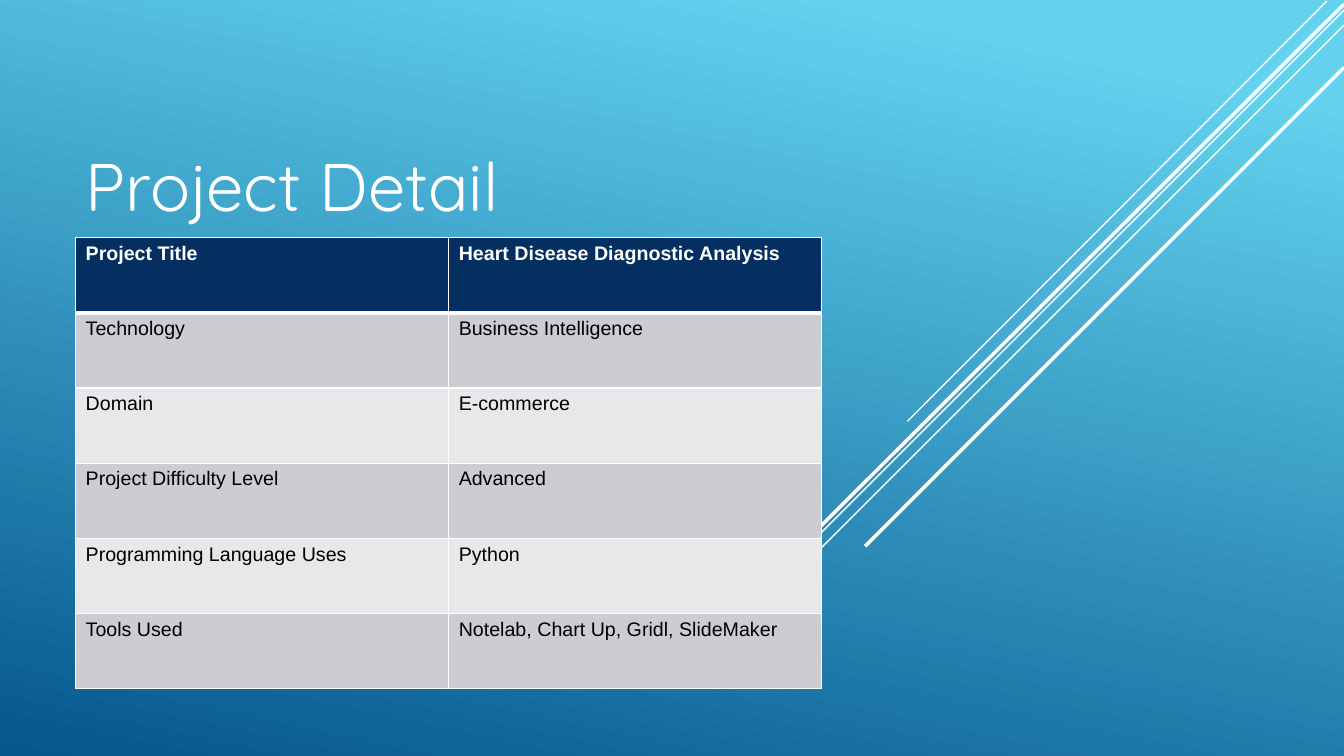
"""Build the project detail slide."""
from copy import deepcopy
from dataclasses import dataclass

from lxml import etree
from pptx import Presentation
from pptx.dml.color import RGBColor
from pptx.enum.shapes import MSO_CONNECTOR
from pptx.enum.text import MSO_ANCHOR, MSO_AUTO_SIZE, PP_ALIGN
from pptx.oxml.ns import qn
from pptx.util import Pt

STRAIGHT = MSO_CONNECTOR.STRAIGHT
BOTTOM = MSO_ANCHOR.BOTTOM
LEFT = PP_ALIGN.LEFT
NO_FIT = MSO_AUTO_SIZE.NONE
SCALE = 9144


@dataclass(frozen=True)
class Theme:
    """Hold the colours, fonts and sizes."""
    white: str = "FFFFFF"
    black: str = "000000"
    navy: str = "052F61"
    bands: tuple = ("CCCDD2", "E7E8EA")
    stops: tuple = ((0, "62D2EF"), (0.1, "62D2EF"), (1, "05578D"))
    angle: int = 258
    head_font: str = "Quicksand"
    cell_font: str = "Arial"
    head_size: int = 48
    cell_size: int = 14
    thin: float = 1
    thick: float = 2.5
    rule: float = 3


THEME = Theme()
RAYS = [
    (1316, 1, 900, 418, THEME.thin),
    (1333, 10, 668, 675, THEME.thin),
    (1333, 25, 791, 567, THEME.thin),
    (1333, 4, 802, 534, THEME.thick),
    (1333, 67, 858, 542, THEME.thick),
]
ROWS = [
    ("Project Title", "Heart Disease Diagnostic Analysis"),
    ("Technology", "Business Intelligence"),
    ("Domain", "E-commerce"),
    ("Project Difficulty Level", "Advanced"),
    ("Programming Language Uses", "Python"),
    ("Tools Used", "Notelab, Chart Up, Gridl, SlideMaker"),
]


def px(count):
    """Turn px into EMU."""
    return count * SCALE


def tint(hue):
    """Turn a hex string into a colour."""
    return RGBColor.from_string(hue)


def add_run(frame, text, font, size, hue, bold=False):
    """Add one styled run to the first paragraph."""
    run = frame.paragraphs[0].add_run()
    run.text = text
    run.font.name = font
    run.font.size = Pt(size)
    run.font.bold = bold
    run.font.color.rgb = tint(hue)


def paint_back(slide):
    """Fill the background with the theme gradient."""
    fill = slide.background.fill
    fill.gradient()
    marks = slide.element.find(".//" + qn("a:gsLst"))
    marks.insert(0, deepcopy(marks[0]))
    for stop, (place, hue) in zip(fill.gradient_stops, THEME.stops):
        stop.position = place
        stop.color.rgb = tint(hue)
    fill.gradient_angle = THEME.angle


def add_ray(slide, x1, y1, x2, y2, width):
    """Draw one slanted white line."""
    ray = slide.shapes.add_connector(STRAIGHT, px(x1), px(y1), px(x2), px(y2))
    ray.line.color.rgb = tint(THEME.white)
    ray.line.width = Pt(width)
    etree.SubElement(ray.element.spPr, qn("a:effectLst"))


def set_title(slide, text, left, top, width, height):
    """Place and write the title."""
    title = slide.shapes.title
    title.left, title.top = px(left), px(top)
    title.width, title.height = px(width), px(height)
    frame = title.text_frame
    frame.auto_size = NO_FIT
    frame.word_wrap = True
    frame.vertical_anchor = BOTTOM
    frame.paragraphs[0].alignment = LEFT
    add_run(frame, text, THEME.head_font, THEME.head_size, THEME.white)


def edge_cell(cell, widths):
    """Draw white borders of the given widths."""
    props = cell._tc.get_or_add_tcPr()
    for side, width in widths.items():
        line = etree.SubElement(props, qn("a:ln" + side), w=str(Pt(width)))
        fill = etree.SubElement(line, qn("a:solidFill"))
        etree.SubElement(fill, qn("a:srgbClr"), val=THEME.white)


def add_grid(slide, rows, left, top, width, height):
    """Add the table with a dark head and banded rows."""
    grid = slide.shapes.add_table(
        len(rows), len(rows[0]), px(left), px(top), px(width), px(height)
    ).table
    for y, row in enumerate(rows):
        head = y == 0
        widths = dict.fromkeys("LRTB", THEME.thin)
        if y < 2:
            widths["B" if head else "T"] = THEME.rule
        back = THEME.navy if head else THEME.bands[(y - 1) % 2]
        hue = THEME.white if head else THEME.black
        for x, text in enumerate(row):
            cell = grid.cell(y, x)
            edge_cell(cell, widths)
            cell.fill.solid()
            cell.fill.fore_color.rgb = tint(back)
            add_run(cell.text_frame, text, THEME.cell_font,
                    THEME.cell_size, hue, head)


def main():
    """Build and save the slide."""
    deck = Presentation()
    deck.slide_width, deck.slide_height = px(1333), px(750)
    slide = deck.slides.add_slide(deck.slide_layouts[0])
    spare = slide.placeholders[1].element
    spare.getparent().remove(spare)
    paint_back(slide)
    for ray in RAYS:
        add_ray(slide, *ray)
    set_title(slide, "Project Detail", 75, 75, 592, 153)
    add_grid(slide, ROWS, 75, 236, 740, 447)
    deck.save("out.pptx")


if __name__ == "__main__":
    main()
